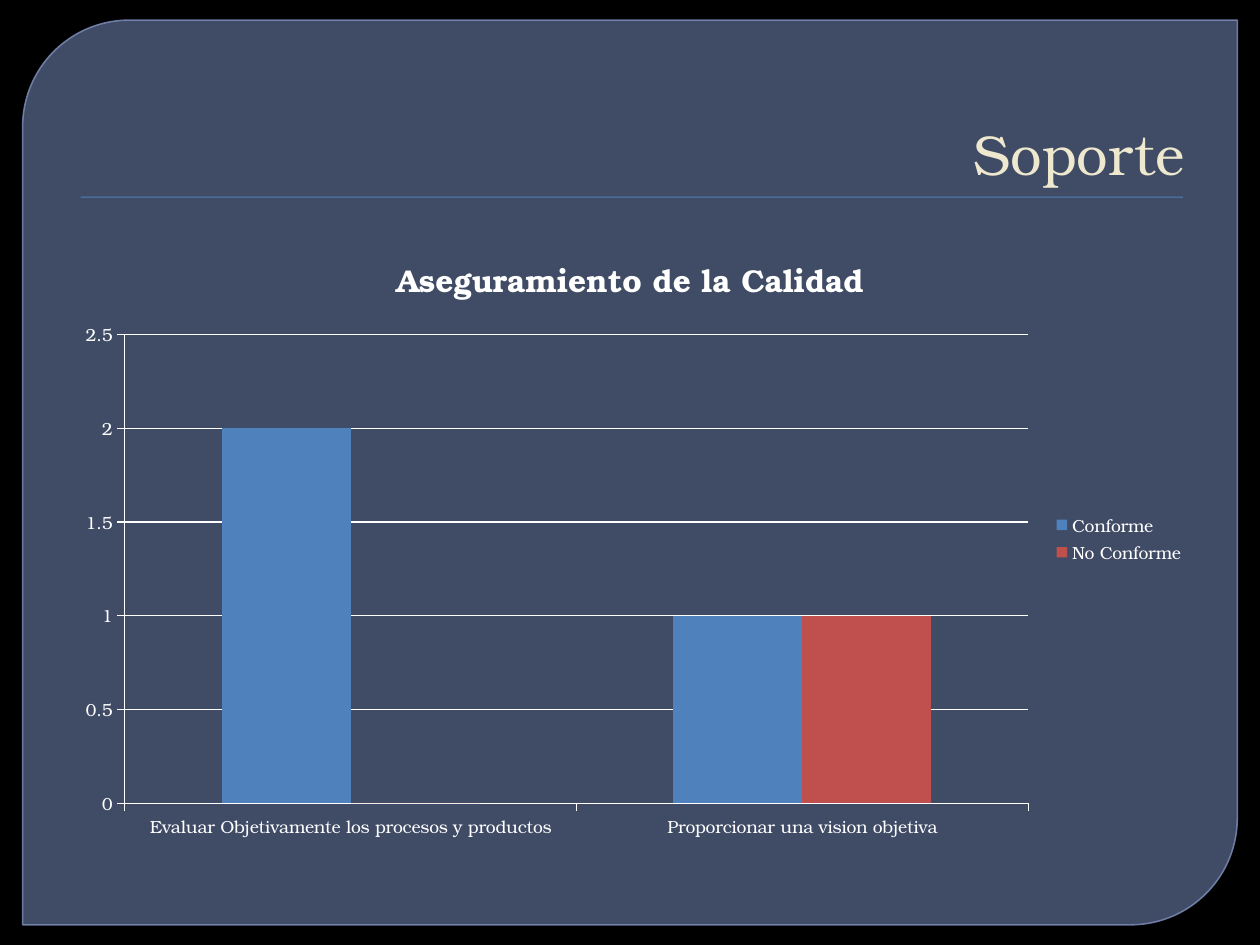
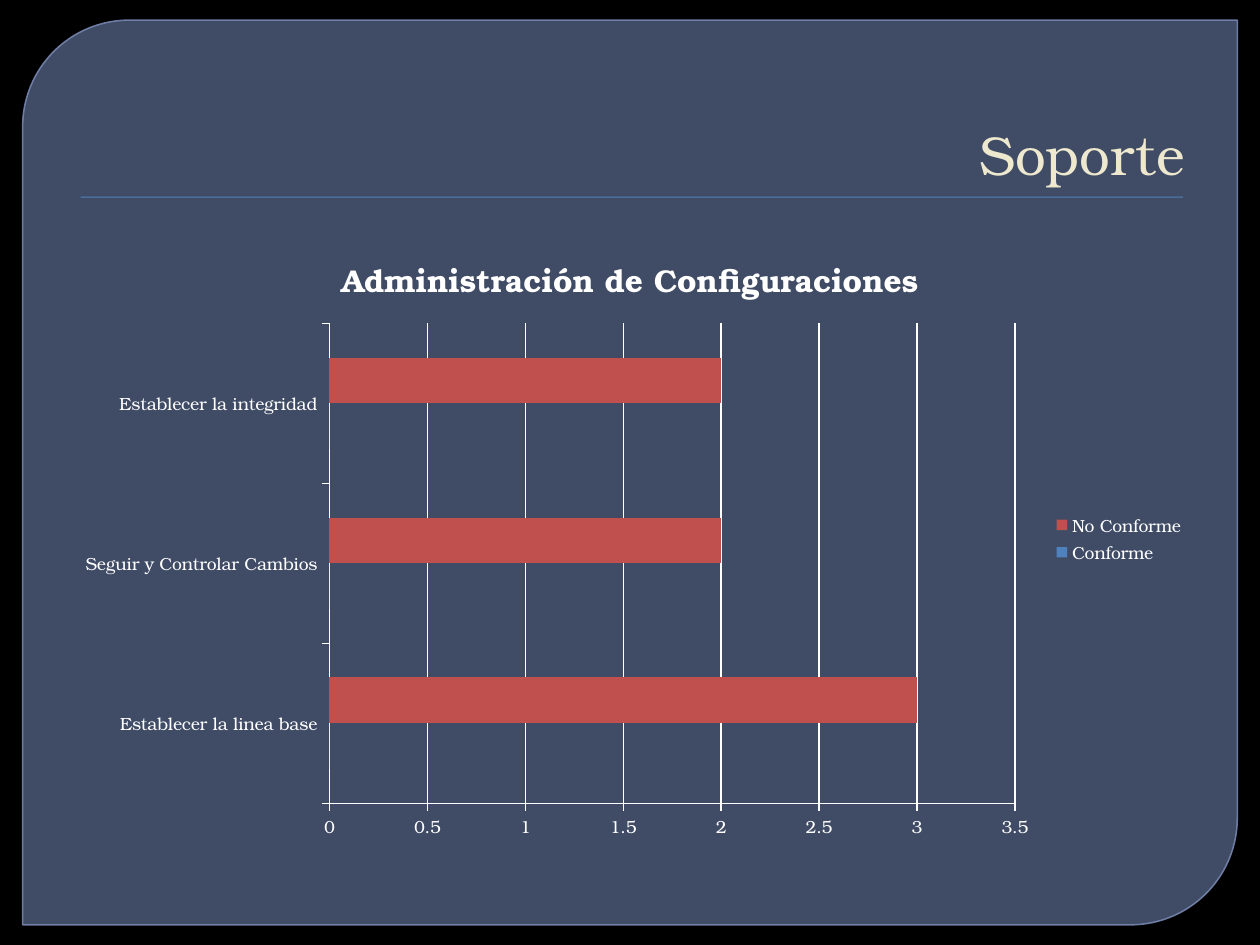
import pptx
import pptx.chart.data
import pptx.dml.color
import pptx.enum.chart
import pptx.enum.shapes
import pptx.enum.text
import pptx.oxml.ns
import pptx.util
from lxml import etree

Inches, Pt = pptx.util.Inches, pptx.util.Pt
Kind = pptx.enum.chart.XL_CHART_TYPE
Form = pptx.enum.shapes.MSO_SHAPE

# Content
SLIDES = [
    {
        "title": "Soporte", "size": 32, "top": 0.68, "high": 0.85,
        "kind": Kind.COLUMN_CLUSTERED,
        "head": "Aseguramiento de la Calidad",
        "cats": ["Evaluar Objetivamente los procesos y productos",
                 "Proporcionar una vision objetiva"],
        "series": {"Conforme": (2, 1), "No Conforme": (0, 1)},
    },
    {
        "title": "Soporte", "size": 31.2, "top": 0.84, "high": 0.69,
        "kind": Kind.BAR_CLUSTERED,
        "head": "Administración de Configuraciones",
        "cats": ["Establecer la linea base", "Seguir y Controlar Cambios",
                 "Establecer la integridad"],
        "series": {"Conforme": (0, 0, 0), "No Conforme": (3, 2, 2)},
    },
]

# Shared style
FONT = "TeX Gyre Bonum"
COLORS = {
    "back": "000000", "panel": "63759D", "edge": "7989B3",
    "rule": "4F81BD", "title": "EDE8CE", "text": "FFFFFF",
    "Conforme": "4F81BD", "No Conforme": "C0504D",
}


def paint(fill, name, alpha=None):
    fill.solid()
    fill.fore_color.rgb = pptx.dml.color.RGBColor.from_string(COLORS[name])
    if alpha:
        qn = pptx.oxml.ns.qn
        for node in fill._xPr.iter(qn("a:srgbClr")):
            etree.SubElement(node, qn("a:alpha"), val=str(alpha * 1000))


def style(font, size, name, bold=False):
    font.name, font.size, font.bold = FONT, Pt(size), bold
    paint(font.fill, name)


def add_form(slide, form, box, name, alpha=None):
    shape = slide.shapes.add_shape(form, *map(Inches, box))
    shape.shadow.inherit = False
    paint(shape.fill, name, alpha)
    return shape


# Black ground, rounded panel and rule under the title
def add_frame(slide):
    paint(slide.background.fill, "back")
    panel = add_form(slide, Form.ROUND_2_DIAG_RECTANGLE,
                     (0.18, 0.16, 9.64, 7.18), "panel", 65)
    panel.adjustments[0], panel.adjustments[1] = 0.118, 0
    panel.line.width = Pt(0.87)
    paint(panel.line.fill, "edge", 88)
    rule = add_form(slide, Form.RECTANGLE, (0.64, 1.56, 8.75, 0.01), "rule")
    rule.line.fill.background()


def add_title(slide, item):
    box = slide.shapes.add_textbox(Inches(0.5), Inches(item["top"]),
                                   Inches(9), Inches(item["high"]))
    frame = box.text_frame
    frame.word_wrap = True
    frame.vertical_anchor = pptx.enum.text.MSO_ANCHOR.BOTTOM
    frame.text = item["title"]
    para = frame.paragraphs[0]
    para.alignment = pptx.enum.text.PP_ALIGN.RIGHT
    style(para.runs[0].font, item["size"], "title")


def add_chart(slide, item):
    data = pptx.chart.data.CategoryChartData()
    data.categories = item["cats"]
    for name, vals in item["series"].items():
        data.add_series(name, vals)
    chart = slide.shapes.add_chart(item["kind"], Inches(0.5), Inches(1.8),
                                   Inches(9), Inches(4.95), data).chart
    style(chart.font, 10, "text")

    # Heading and legend
    chart.has_title = True
    head = chart.chart_title.text_frame
    head.text = item["head"]
    style(head.paragraphs[0].runs[0].font, 18, "text", True)
    chart.chart_title.include_in_layout = False
    chart.has_legend = True
    chart.legend.position = pptx.enum.chart.XL_LEGEND_POSITION.RIGHT
    chart.legend.include_in_layout = False

    # Bars
    plot = chart.plots[0]
    plot.gap_width, plot.overlap = 150, 0
    plot.vary_by_categories = False
    for series in plot.series:
        paint(series.format.fill, series.name)
        series.invert_if_negative = False

    # Axes and grid
    value = chart.value_axis
    value.has_major_gridlines = True
    chart.category_axis.has_major_gridlines = False
    for part in (chart.category_axis, value, value.major_gridlines):
        part.format.line.width = Pt(0.75)
        paint(part.format.line.fill, "text")
    for axis in (chart.category_axis, value):
        axis.major_tick_mark = pptx.enum.chart.XL_TICK_MARK.OUTSIDE
        axis.minor_tick_mark = pptx.enum.chart.XL_TICK_MARK.NONE


def main():
    deck = pptx.Presentation()
    deck.slide_width, deck.slide_height = Inches(10), Inches(7.5)
    for item in SLIDES:
        slide = deck.slides.add_slide(deck.slide_layouts[6])
        add_frame(slide)
        add_title(slide, item)
        add_chart(slide, item)
    deck.save("out.pptx")


if __name__ == "__main__":
    main()
